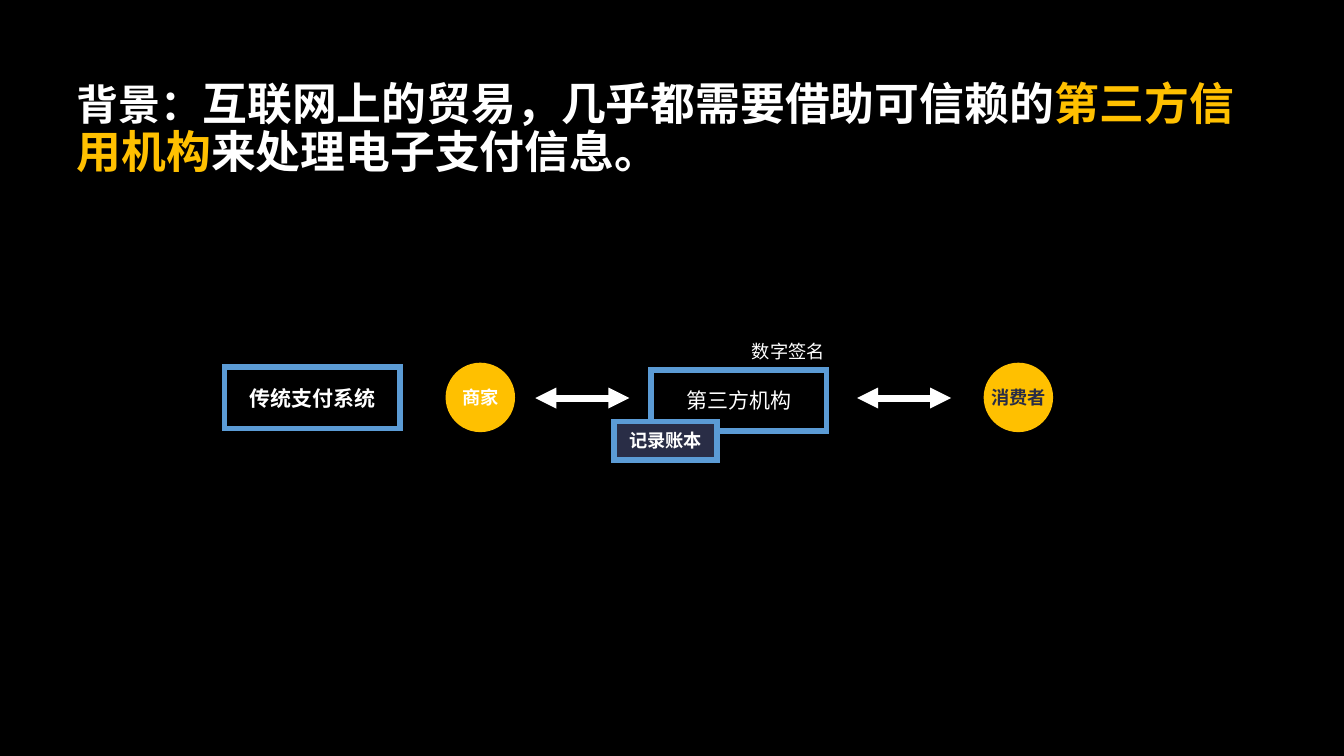
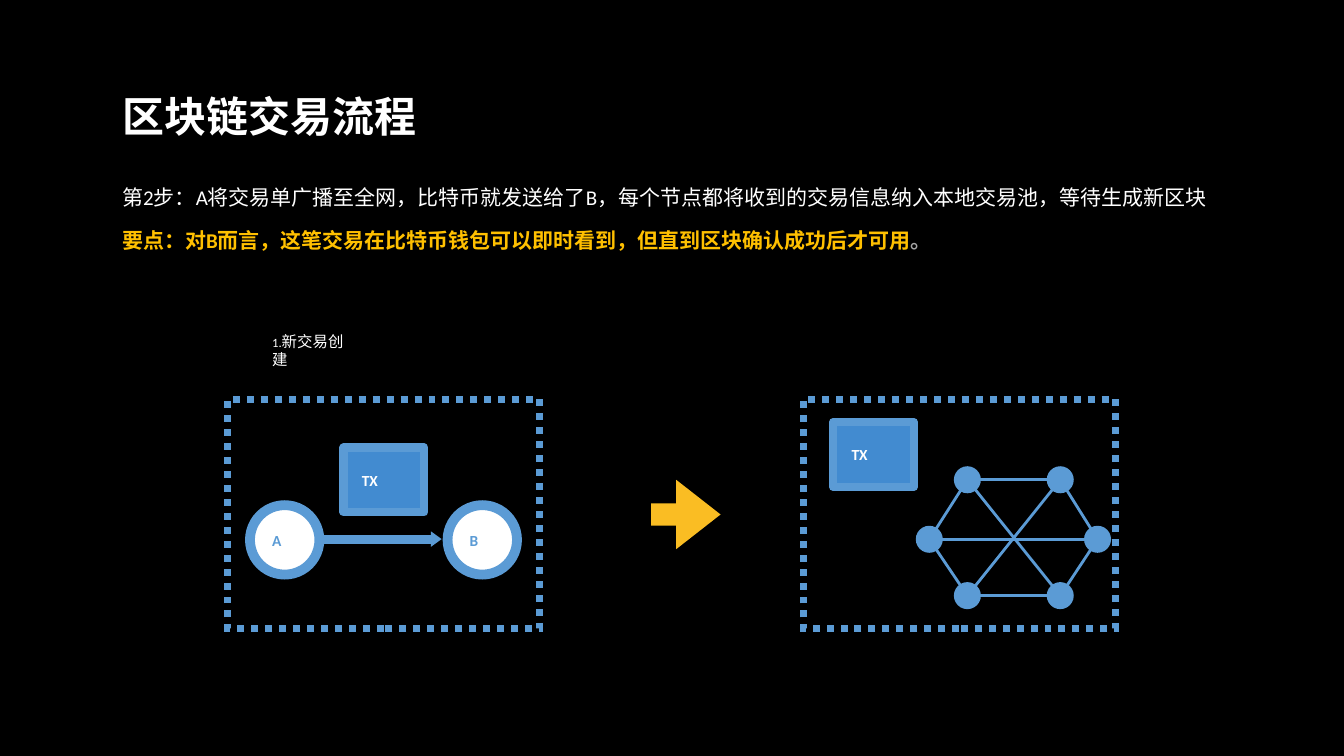
import itertools

import pptx
import pptx.dml.color
import pptx.enum.dml
import pptx.enum.shapes
import pptx.enum.text
import pptx.oxml
import pptx.oxml.ns
import pptx.util

Cm = pptx.util.Cm
Pt = pptx.util.Pt
SHAPE = pptx.enum.shapes.MSO_SHAPE
ALIGN = pptx.enum.text.PP_ALIGN

BLACK, WHITE, NAVY = "000000", "FFFFFF", "292D46"
BLUE, CARD_BLUE = "5B9BD5", "428BD0"
GOLD, AMBER, GREY = "FFC000", "FABD23", "A5A5A5"
INSET = 0.08


def color(value):
    return pptx.dml.color.RGBColor.from_string(value)


def add_xml(parent, tag, **attributes):
    child = parent.makeelement(pptx.oxml.ns.qn(tag), attributes)
    parent.append(child)


class Deck:
    """Holds the shared style and the slide being built."""

    def __init__(self):
        self.prs = pptx.Presentation()
        self.prs.slide_width, self.prs.slide_height = Cm(33.87), Cm(19.05)
        background = self.prs.slide_master.background.fill
        background.solid()
        background.fore_color.rgb = color(BLACK)
        self.slide = None

    def new_slide(self, runs, left, top, width, height, font="Calibri"):
        """Start a slide with its title; runs are (text, colour, size)."""
        self.slide = self.prs.slides.add_slide(self.prs.slide_layouts[5])
        title = self.slide.shapes.title
        title.left, title.top = Cm(left), Cm(top)
        title.width, title.height = Cm(width), Cm(height)
        self.set_text(title.text_frame, runs, 30, bold=True, font=font, spacing=0.9)

    def set_text(self, frame, runs, size, tint=WHITE, bold=False, font="Calibri",
                 align=ALIGN.LEFT, spacing=1.0, inset=INSET, wrap=True):
        """Fill a frame with one paragraph; runs override its colour and size."""
        frame.word_wrap = wrap
        frame.auto_size = pptx.enum.text.MSO_AUTO_SIZE.NONE
        frame.vertical_anchor = pptx.enum.text.MSO_ANCHOR.MIDDLE
        frame.margin_left = Cm(inset)
        frame.margin_right = frame.margin_top = frame.margin_bottom = Cm(INSET)
        paragraph = frame.paragraphs[0]
        paragraph.alignment, paragraph.line_spacing = align, spacing
        paragraph.font.name, paragraph.font.size = font, Pt(size)
        paragraph.font.bold, paragraph.font.color.rgb = bold, color(tint)
        for words, run_tint, run_size in runs:
            run = paragraph.add_run()
            run.text = words
            if run_tint:
                run.font.color.rgb = color(run_tint)
            if run_size:
                run.font.size = Pt(run_size)

    def text(self, runs, left, top, width, height, size, **style):
        box = self.slide.shapes.add_textbox(Cm(left), Cm(top), Cm(width), Cm(height))
        self.set_text(box.text_frame, runs, size, **style)

    def shape(self, kind, left, top, width, height, fill=None, line=None,
              weight=4, dotted=False, join="a:miter", adjust=()):
        shape = self.slide.shapes.add_shape(
            kind, Cm(left), Cm(top), Cm(width), Cm(height))
        shape.shadow.inherit = False
        if fill:
            shape.fill.solid()
            shape.fill.fore_color.rgb = color(fill)
        else:
            shape.fill.background()
        if line:
            shape.line.color.rgb = color(line)
            shape.line.width = Pt(weight)
            if dotted:
                shape.line.dash_style = pptx.enum.dml.MSO_LINE.ROUND_DOT
            add_xml(shape.get_or_add_ln(), join)
        else:
            shape.line.fill.background()
        for index, value in enumerate(adjust):
            shape.adjustments[index] = value
        return shape

    def label(self, shape, words, size, tint=WHITE, bold=True, inset=None):
        """Centre the words, or start them at a left inset when one is given."""
        if inset is None:
            self.set_text(shape.text_frame, [(words, None, None)], size, tint, bold,
                          align=ALIGN.CENTER, wrap=False)
        else:
            self.set_text(shape.text_frame, [(words, None, None)], size, tint, bold,
                          inset=inset)

    def line(self, start, end, tint, weight, arrows=False):
        connector = self.slide.shapes.add_connector(
            pptx.enum.shapes.MSO_CONNECTOR.STRAIGHT,
            Cm(start[0]), Cm(start[1]), Cm(end[0]), Cm(end[1]))
        connector.line.color.rgb = color(tint)
        connector.line.width = Pt(weight)
        if arrows:
            for tag in ("a:headEnd", "a:tailEnd"):
                add_xml(connector.get_or_add_ln(), tag, type="triangle")
        add_xml(connector.element.spPr, "a:effectLst")


def payment_slide(deck):
    deck.new_slide([("背景：", None, None),
                    ("互联网上的贸易，几乎都需要借助可信赖的", None, 32),
                    ("第三方信用机构", GOLD, 32),
                    ("来处理电子支付信息。", None, 32)],
                   1.85, 2.03, 29.82, 2.49, font="Noto Sans CJK SC")

    # System name and third party
    for words, left, top, bold in (("传统支付系统", 5.66, 9.25, True),
                                   ("第三方机构", 16.41, 9.32, False)):
        frame = deck.shape(SHAPE.RECTANGLE, left, top, 4.42, 1.55, line=BLUE)
        deck.label(frame, words, 15, bold=bold)
    deck.text([("数字签名", None, None)], 18.87, 8.51, 2.3, 0.69, 13)
    ledger = deck.shape(SHAPE.RECTANGLE, 15.47, 10.62, 2.6, 0.97, NAVY, BLUE)
    deck.label(ledger, "记录账本", 13)

    # Merchant and consumer
    for words, left, tint in (("商家", 11.23, WHITE), ("消费者", 24.79, NAVY)):
        party = deck.shape(SHAPE.OVAL, left, 9.14, 1.75, 1.75, GOLD)
        deck.label(party, words, 13, tint)

    # Exchanges with the third party
    for left in (13.49, 21.6):
        deck.line((left, 10.03), (left + 2.37, 10.03), WHITE, 5, arrows=True)


def transaction_slide(deck):
    deck.new_slide([("区块链交易流程", None, None)], 3, 2.34, 27.74, 1.3)
    deck.text([("第2步：A将交易单广播至全网，比特币就发送给了B，"
                "每个节点都将收到的交易信息纳入本地交易池，等待生成新区块", None, None)],
              3, 4.27, 27.74, 1.09, 15, spacing=1.5)
    deck.text([("要点：对B而言，这笔交易在比特币钱包可以即时看到，"
                "但直到区块确认成功后才可用", None, None), ("。", GREY, None)],
              3, 5.41, 27.74, 0.99, 15, tint=GOLD, bold=True, spacing=1.5)
    deck.text([("1.", None, 9), ("新交易创建", None, None)],
              6.78, 8.53, 2.34, 0.61, 11)

    # Dotted panels, each with its transaction card
    for panel_left, card_left, card_top in ((5.74, 8.66, 11.28),
                                            (20.24, 21, 10.64)):
        deck.shape(SHAPE.RECTANGLE, panel_left, 10.06, 7.87, 5.79,
                   line=BLUE, weight=5, dotted=True)
        card = deck.shape(SHAPE.RECTANGLE, card_left, card_top, 2.03, 1.63,
                          CARD_BLUE, BLUE, 6, join="a:round")
        deck.label(card, "TX", 11, inset=0.46)

    # Transfer from A to B
    for words, left in (("A", 6.3), ("B", 11.28)):
        party = deck.shape(SHAPE.OVAL, left, 12.73, 1.75, 1.75, WHITE, BLUE, 7)
        deck.label(party, words, 11, BLUE, inset=0.3)
    deck.line((8, 13.59), (10.87, 13.59), BLUE, 6)
    deck.shape(SHAPE.RIGHT_ARROW, 10.82, 13.46, 0.25, 0.25, BLUE, BLUE, 2,
               adjust=(0.28, 0.69))

    # Step arrow
    deck.shape(SHAPE.RIGHT_ARROW, 16.41, 12.09, 1.75, 1.75, AMBER,
               adjust=(0.32, 0.64))

    # Network: every node joins its neighbours and the node opposite
    nodes = [(24.38, 12.09), (26.72, 12.09), (27.66, 13.59),
             (26.72, 15.01), (24.38, 15.01), (23.42, 13.59)]
    node_size = 0.61
    for x, y in nodes:
        deck.shape(SHAPE.OVAL, x - node_size / 2, y - node_size / 2,
                   node_size, node_size, BLUE, BLUE, 2)
    for first, second in itertools.combinations(range(len(nodes)), 2):
        if second - first in (1, 3, 5):
            deck.line(nodes[first], nodes[second], BLUE, 2)


def main():
    deck = Deck()
    payment_slide(deck)
    transaction_slide(deck)
    deck.prs.save("out.pptx")


if __name__ == "__main__":
    main()
